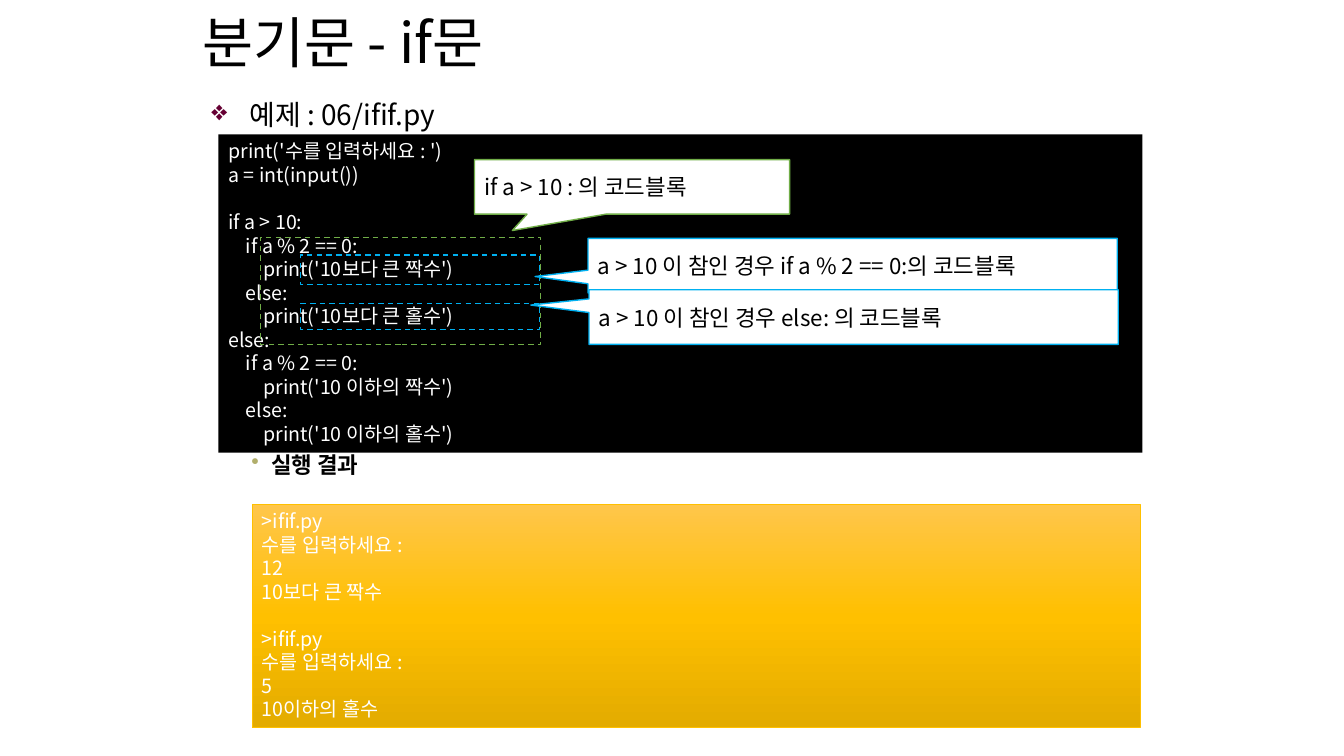
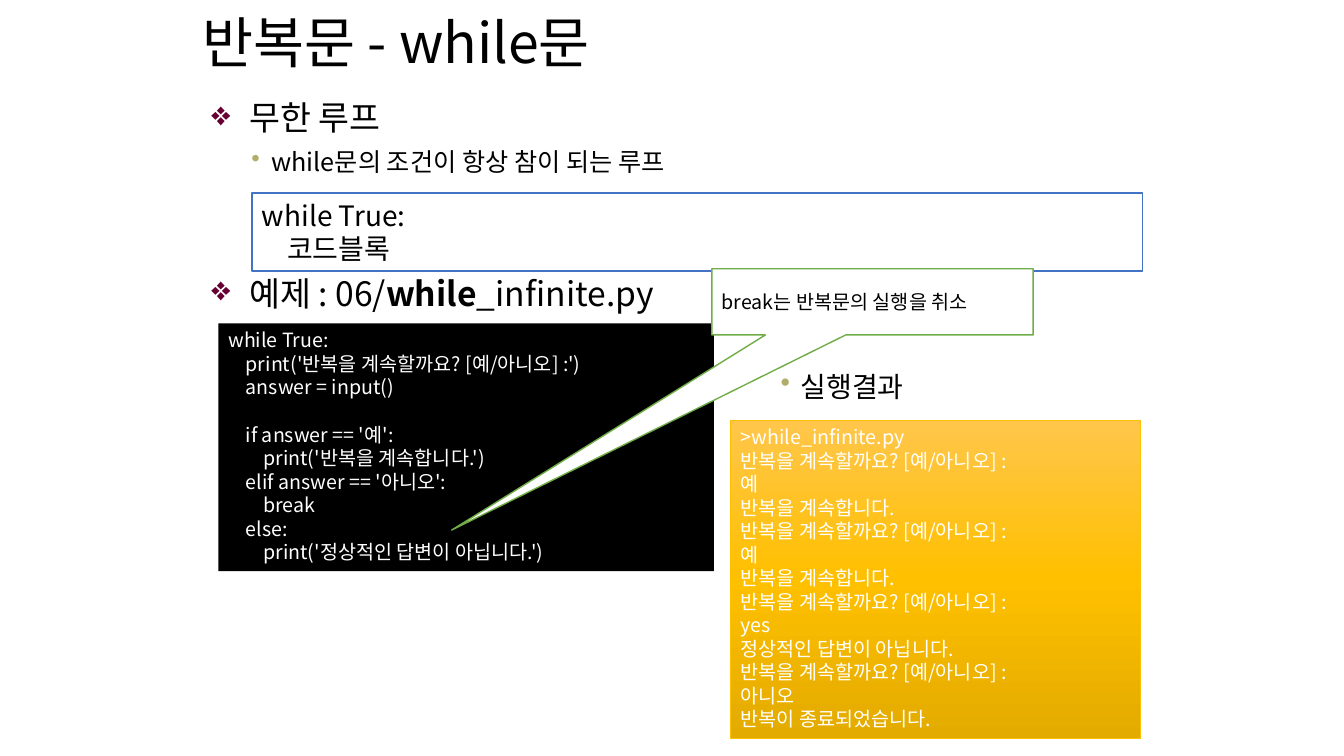
from copy import deepcopy
from dataclasses import dataclass
from typing import NamedTuple, Optional

from lxml import etree
from pptx import Presentation
from pptx.dml.color import RGBColor
from pptx.enum.dml import MSO_LINE
from pptx.enum.shapes import MSO_SHAPE
from pptx.enum.text import MSO_ANCHOR, PP_ALIGN
from pptx.oxml.ns import qn
from pptx.util import Pt

# Shared look
PX = 9525  # EMU in one px, 96 px to the inch
SLIDE_W, SLIDE_H = 1280, 720
FONT = "Noto Sans CJK KR"
LINE_HEIGHT = 1.2
TITLE_SIZE = 39.6
CODE_SIZE = 14

BLACK = RGBColor(0x00, 0x00, 0x00)
WHITE = RGBColor(0xFF, 0xFF, 0xFF)
GREEN = RGBColor(0x70, 0xAD, 0x47)
SKY = RGBColor(0x00, 0xB0, 0xF0)
BLUE = RGBColor(0x44, 0x72, 0xC4)
GOLD = RGBColor(0xFF, 0xC0, 0x00)
GOLD_LIGHT = RGBColor(0xFF, 0xC6, 0x4B)
GOLD_DARK = RGBColor(0xE3, 0xAB, 0x00)
GOLD_STOPS = ((0, GOLD_LIGHT), (0.5, GOLD), (1, GOLD_DARK))

RECT = MSO_SHAPE.RECTANGLE
CALLOUT = MSO_SHAPE.RECTANGULAR_CALLOUT
DASH = MSO_LINE.DASH
TOP, MIDDLE = MSO_ANCHOR.TOP, MSO_ANCHOR.MIDDLE
LEFT = PP_ALIGN.LEFT


class Box(NamedTuple):
    left: int
    top: int
    width: int
    height: int

    def emu(self):
        return [length * PX for length in self]


class Run(NamedTuple):
    text: str
    bold: bool = False


class BulletStyle(NamedTuple):
    mark: str
    color: str
    level: int
    margin: int
    hanging: int


TITLE_BOX = Box(183, 9, 897, 60)
HEADING = BulletStyle("❖", "660033", 0, 36, 36)
DETAIL = BulletStyle("•", "B1AE6B", 1, 57, 19)


@dataclass
class Bullet:
    style: BulletStyle
    box: Box
    size: int
    runs: list[Run]


@dataclass
class Panel:
    """A rectangle of code or output lines; an empty line opens a gap."""
    box: Box
    text: str
    fill: Optional[RGBColor] = None  # None gives the gold gradient
    border: Optional[RGBColor] = None
    border_width: float = 1
    size: int = CODE_SIZE
    color: RGBColor = WHITE


@dataclass
class Note:
    box: Box
    border: RGBColor
    tip: tuple[float, float]
    text: str
    size: int = 16


@dataclass
class BlockOutline:
    box: Box
    border: RGBColor


# Text
def add_run(paragraph, run: Run, size: float, color: RGBColor) -> None:
    piece = paragraph.add_run()
    piece.text = run.text
    font = piece.font
    font.name, font.size, font.bold = FONT, Pt(size), run.bold
    font.color.rgb = color
    latin = piece._r.get_or_add_rPr().find(qn("a:latin"))
    east_asian = etree.Element(qn("a:ea"), typeface=FONT)
    latin.addnext(east_asian)


def write_lines(shape, lines: list[list[Run]], size: float, color: RGBColor, anchor) -> None:
    frame = shape.text_frame
    frame.word_wrap = True
    frame.vertical_anchor = anchor
    pitch = Pt(size * LINE_HEIGHT)
    paragraph, gap = None, 0
    for runs in lines:
        if not any(run.text for run in runs):
            gap += pitch
            continue
        paragraph = frame.add_paragraph() if paragraph else frame.paragraphs[0]
        paragraph.alignment = LEFT
        paragraph.line_spacing = pitch
        if gap:
            paragraph.space_before = gap
            gap = 0
        for run in runs:
            add_run(paragraph, run, size, color)


def add_title(slide, text: str) -> None:
    title = slide.shapes.add_textbox(*TITLE_BOX.emu())
    write_lines(title, [[Run(text)]], TITLE_SIZE, BLACK, MIDDLE)


def add_bullet(slide, bullet: Bullet) -> None:
    box = slide.shapes.add_textbox(*bullet.box.emu())
    style = bullet.style
    paragraph = box.text_frame.paragraphs[0]
    paragraph.level = style.level
    props = paragraph._p.get_or_add_pPr()
    props.set("marL", str(style.margin * PX))
    props.set("indent", str(-style.hanging * PX))
    mark_color = etree.SubElement(props, qn("a:buClr"))
    etree.SubElement(mark_color, qn("a:srgbClr"), val=style.color)
    etree.SubElement(props, qn("a:buChar"), char=style.mark)
    write_lines(box, [bullet.runs], bullet.size, BLACK, TOP)


# Shapes
def add_shape(slide, kind, box: Box, border: Optional[RGBColor], width: float = 1):
    shape = slide.shapes.add_shape(kind, *box.emu())
    shape.shadow.inherit = False
    if border is None:
        shape.line.fill.background()
    else:
        shape.line.color.rgb = border
        shape.line.width = Pt(width)
    return shape


def fill_solid(shape, color: RGBColor) -> None:
    shape.fill.solid()
    shape.fill.fore_color.rgb = color


def fill_gold(shape) -> None:
    shape.fill.gradient()
    shape.fill.gradient_angle = 270
    stop_list = shape._element.spPr.find(qn("a:gradFill")).find(qn("a:gsLst"))
    stop_list.append(deepcopy(stop_list[0]))
    for stop, (position, color) in zip(shape.fill.gradient_stops, GOLD_STOPS):
        stop.position = position
        stop.color.rgb = color


def add_panel(slide, panel: Panel) -> None:
    shape = add_shape(slide, RECT, panel.box, panel.border, panel.border_width)
    if panel.fill is None:
        fill_gold(shape)
    else:
        fill_solid(shape, panel.fill)
    lines = [[Run(line)] for line in panel.text.strip("\n").split("\n")]
    write_lines(shape, lines, panel.size, panel.color, TOP)


def add_outline(slide, outline: BlockOutline) -> None:
    shape = add_shape(slide, RECT, outline.box, outline.border)
    shape.fill.background()
    shape.line.dash_style = DASH


def add_note(slide, note: Note) -> None:
    shape = add_shape(slide, CALLOUT, note.box, note.border)
    shape.adjustments[0], shape.adjustments[1] = note.tip
    fill_solid(shape, WHITE)
    write_lines(shape, [[Run(note.text)]], note.size, BLACK, MIDDLE)


# Content
IF_CODE = """
print('수를 입력하세요 : ')
a = int(input())

if a > 10:
    if a % 2 == 0:
        print('10보다 큰 짝수')
    else:
        print('10보다 큰 홀수')
else:
    if a % 2 == 0:
        print('10 이하의 짝수')
    else:
        print('10 이하의 홀수')
"""
IF_OUTPUT = """
>ifif.py
수를 입력하세요 :
12
10보다 큰 짝수

>ifif.py
수를 입력하세요 :
5
10이하의 홀수
"""
WHILE_SYNTAX = """
while True:
    코드블록
"""
WHILE_CODE = """
while True:
    print('반복을 계속할까요? [예/아니오] :')
    answer = input()

    if answer == '예':
        print('반복을 계속합니다.')
    elif answer == '아니오':
        break
    else:
        print('정상적인 답변이 아닙니다.')
"""
WHILE_OUTPUT = """
>while_infinite.py
반복을 계속할까요? [예/아니오] :
예
반복을 계속합니다.
반복을 계속할까요? [예/아니오] :
예
반복을 계속합니다.
반복을 계속할까요? [예/아니오] :
yes
정상적인 답변이 아닙니다.
반복을 계속할까요? [예/아니오] :
아니오
반복이 종료되었습니다.
"""

IF_PARTS = [
    Bullet(HEADING, Box(192, 88, 912, 40), 20, [Run("예제 : 06/ifif.py")]),
    Bullet(DETAIL, Box(192, 425, 912, 36), 16, [Run("실행 결과", True)]),
    Panel(Box(208, 128, 880, 303), IF_CODE, BLACK),
    Panel(Box(240, 480, 846, 213), IF_OUTPUT, border=GOLD, border_width=0.5),
    BlockOutline(Box(248, 226, 267, 102), GREEN),
    BlockOutline(Box(286, 243, 228, 28), SKY),
    BlockOutline(Box(286, 289, 228, 25), SKY),
    Note(Box(452, 152, 300, 52), GREEN, (-0.38, 0.8), "if a > 10 : 의 코드블록"),
    Note(Box(560, 227, 504, 52), SKY, (-0.6, 0.2),
         "a > 10 이 참인 경우 if a % 2 == 0:의 코드블록"),
    Note(Box(561, 276, 504, 52), SKY, (-0.61, -0.22),
         "a > 10 이 참인 경우 else: 의 코드블록"),
]
WHILE_PARTS = [
    Bullet(HEADING, Box(192, 88, 912, 48), 24, [Run("무한 루프")]),
    Bullet(DETAIL, Box(192, 135, 912, 40), 18,
           [Run("while문의 조건이 항상 참이 되는 루프")]),
    Bullet(HEADING, Box(192, 255, 912, 48), 24,
           [Run("예제 : 06/"), Run("while", True), Run("_infinite.py")]),
    Panel(Box(240, 184, 848, 74), WHILE_SYNTAX, WHITE, BLUE, size=20, color=BLACK),
    Panel(Box(208, 308, 472, 236), WHILE_CODE, BLACK),
    Panel(Box(696, 400, 390, 303), WHILE_OUTPUT, border=GOLD, border_width=0.5),
    Bullet(DETAIL, Box(696, 347, 336, 48), 20, [Run("실행결과")]),
    Note(Box(678, 256, 306, 63), GREEN, (-1.31, 3.45),
         "break는 반복문의 실행을 취소", CODE_SIZE),
]
LESSONS = [("분기문 - if문", IF_PARTS), ("반복문 - while문", WHILE_PARTS)]
DRAW = {Bullet: add_bullet, Panel: add_panel, BlockOutline: add_outline, Note: add_note}


def main() -> None:
    deck = Presentation()
    deck.slide_width, deck.slide_height = SLIDE_W * PX, SLIDE_H * PX
    blank = deck.slide_layouts[6]
    for title, parts in LESSONS:
        slide = deck.slides.add_slide(blank)
        add_title(slide, title)
        for part in parts:
            DRAW[type(part)](slide, part)
    deck.save("out.pptx")


if __name__ == "__main__":
    main()
